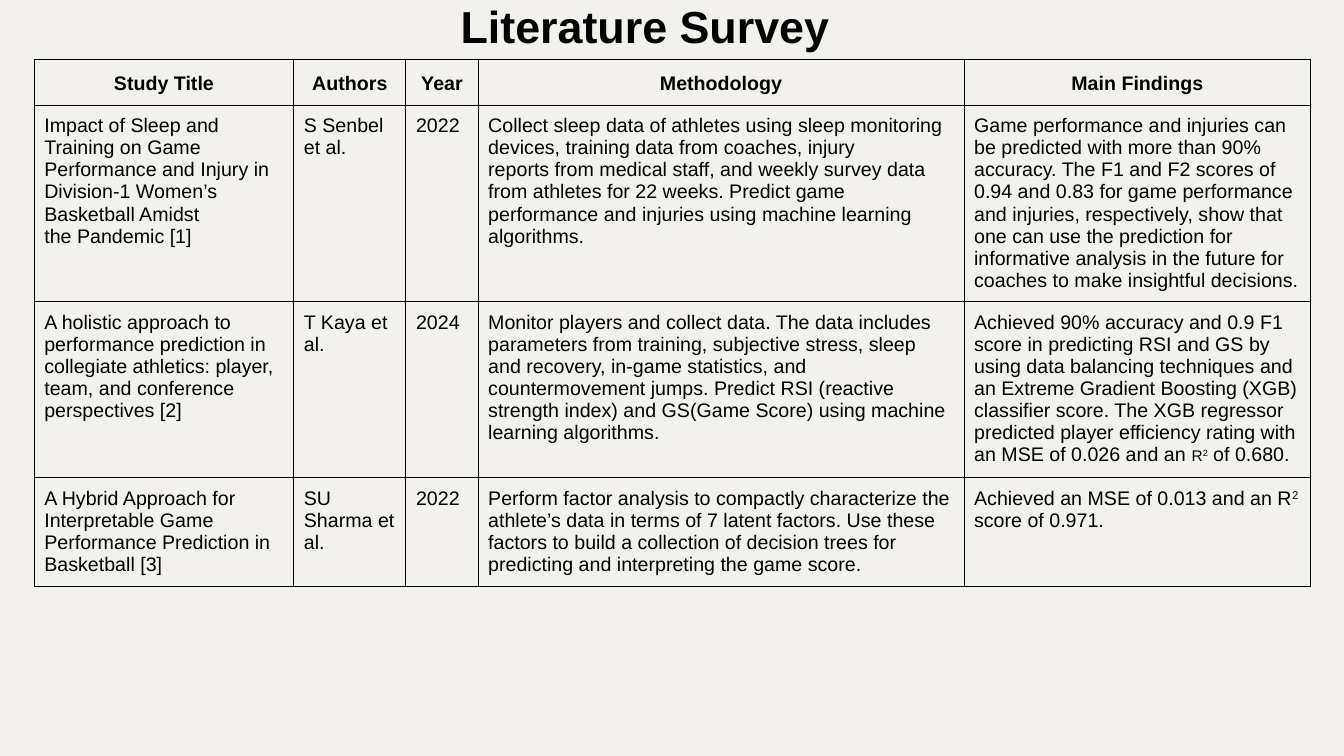
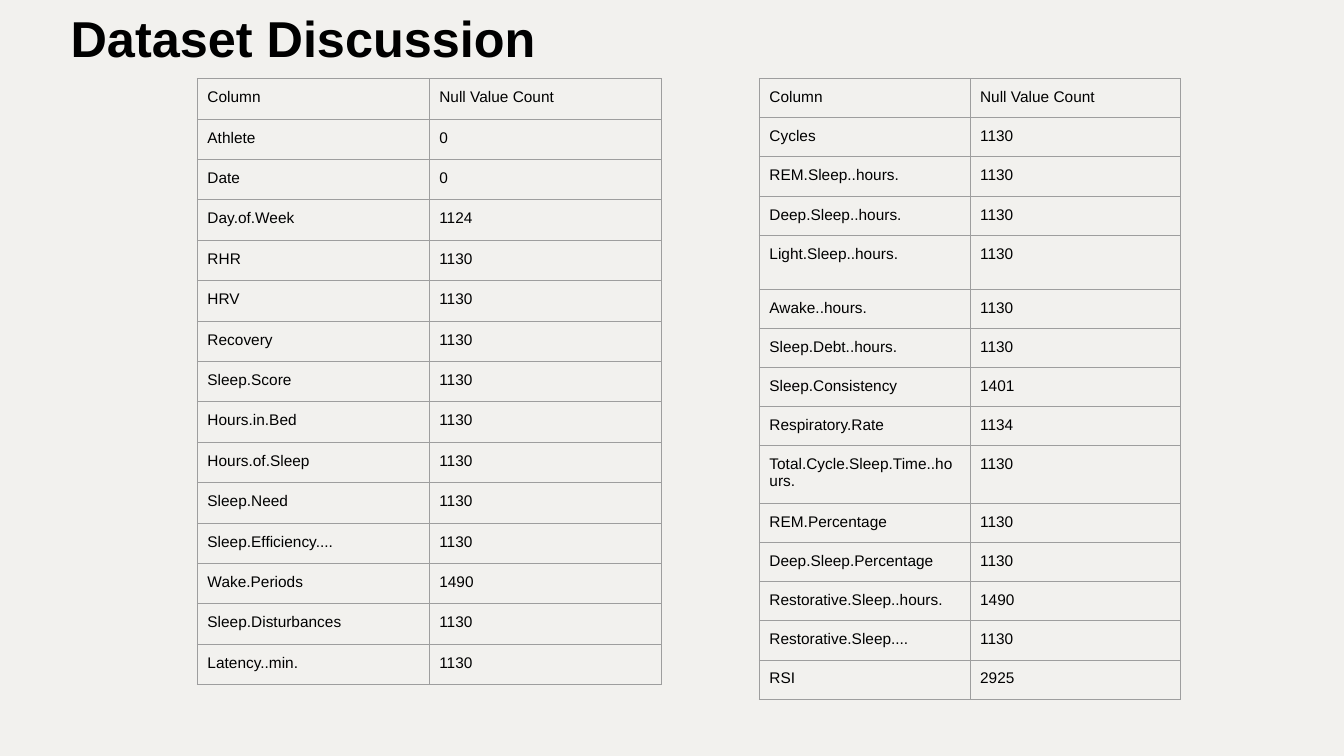
import dataclasses

import lxml.etree
import pptx
import pptx.dml.color
import pptx.enum.text
import pptx.oxml.ns
import pptx.util

COLORS = {"paper": "F2F1EE", "ink": "000000", "grey": "9E9E9E"}
FONT = "Arial"
GRID_COLUMNS, GRID_ROWS = 160, 90
ALIGN = pptx.enum.text.PP_ALIGN


@dataclasses.dataclass
class Run:
    text: str
    size: int = 0
    raised: bool = False


class Deck:
    def __init__(self):
        self.presentation = pptx.Presentation()
        self.presentation.slide_width = pptx.util.Inches(13.33)
        self.presentation.slide_height = pptx.util.Inches(7.5)
        self.slide = None
        background = self.presentation.slide_master.background.fill
        background.solid()
        background.fore_color.rgb = self.color("paper")

    def color(self, name):
        return pptx.dml.color.RGBColor.from_string(COLORS[name])

    def across(self, columns):
        return pptx.util.Emu(round(self.presentation.slide_width * columns / GRID_COLUMNS))

    def down(self, rows):
        return pptx.util.Emu(round(self.presentation.slide_height * rows / GRID_ROWS))

    def add_runs(self, paragraph, runs, size, bold=False):
        for part in runs:
            run = paragraph.add_run()
            run.text = part.text
            run.font.name = FONT
            run.font.size = pptx.util.Pt(part.size or size)
            run.font.bold = bold
            run.font.color.rgb = self.color("ink")
            if part.raised:
                run.font._element.set("baseline", "30000")

    def add_slide(self, title, top, height, size, alignment):
        layout = self.presentation.slide_layouts.get_by_name("Title Only")
        self.slide = self.presentation.slides.add_slide(layout)
        shape = self.slide.shapes.title
        shape.left, shape.top = self.across(7.8), self.down(top)
        shape.width, shape.height = self.across(138), self.down(height)
        frame = shape.text_frame
        frame.word_wrap = True
        frame.auto_size = pptx.enum.text.MSO_AUTO_SIZE.NONE
        frame.vertical_anchor = pptx.enum.text.MSO_ANCHOR.BOTTOM
        inset = pptx.util.Inches(0.05)
        frame.margin_left = frame.margin_right = inset
        frame.margin_top = frame.margin_bottom = inset
        paragraph = frame.paragraphs[0]
        paragraph.alignment = alignment
        paragraph.line_spacing = 0.9
        self.add_runs(paragraph, [Run(title)], size, bold=True)

    def add_borders(self, cell, color):
        properties = cell._tc.get_or_add_tcPr()
        qualified = pptx.oxml.ns.qn
        for position, side in enumerate(("a:lnL", "a:lnR", "a:lnT", "a:lnB")):
            line = lxml.etree.Element(qualified(side), w=str(pptx.util.Pt(0.75)))
            fill = lxml.etree.SubElement(line, qualified("a:solidFill"))
            lxml.etree.SubElement(fill, qualified("a:srgbClr"), val=COLORS[color])
            properties.insert(position, line)

    def fill_cell(self, cell, content, size, border, header):
        inset = pptx.util.Inches(0.1)
        cell.margin_left = cell.margin_right = inset
        cell.margin_top = cell.margin_bottom = inset
        cell.fill.background()
        self.add_borders(cell, border)
        if isinstance(content, str):
            lines = [[Run(line)] for line in content.split("\n")]
        else:
            lines = [content]
        for number, runs in enumerate(lines):
            frame = cell.text_frame
            paragraph = frame.add_paragraph() if number else frame.paragraphs[0]
            if header:
                paragraph.alignment = ALIGN.CENTER
                paragraph.line_spacing = 1.15
            self.add_runs(paragraph, runs, size, bold=header)

    def add_table(self, left, top, widths, heights, content, size, border, header=False):
        table = self.slide.shapes.add_table(
            len(heights), len(widths), self.across(left), self.down(top),
            self.across(sum(widths)), self.down(sum(heights))).table
        table.first_row = header
        table.horz_banding = False
        for column, width in zip(table.columns, widths):
            column.width = self.across(width)
        for index, (row, height, texts) in enumerate(zip(table.rows, heights, content)):
            row.height = self.down(height)
            for cell, text in zip(row.cells, texts):
                self.fill_cell(cell, text, size, border, header and index == 0)

    def add_null_counts(self, left, width, row_height, counts, taller_rows):
        content = [("Column", "Null Value Count")]
        content += [(name, str(count)) for name, count in counts.items()]
        heights = [taller_rows.get(name, row_height) for name, _ in content]
        self.add_table(left, 9.36, [width] * 2, heights, content, 11, "grey")


STUDIES = [
    ("Study Title", "Authors", "Year", "Methodology", "Main Findings"),
    (
        "Impact of Sleep and Training on Game Performance and Injury in "
        "Division-1 Women’s Basketball Amidst\nthe Pandemic [1]",
        "S Senbel et al.",
        "2022",
        "Collect sleep data of athletes using sleep monitoring devices, "
        "training data from coaches, injury\n"
        "reports from medical staff, and weekly survey data from athletes for "
        "22 weeks. Predict game performance and injuries using machine "
        "learning algorithms.",
        "Game performance and injuries can be predicted with more than 90% "
        "accuracy. The F1 and F2 scores of 0.94 and 0.83 for game performance "
        "and injuries, respectively, show that one can use the prediction for "
        "informative analysis in the future for coaches to make insightful "
        "decisions.",
    ),
    (
        "A holistic approach to performance prediction in collegiate "
        "athletics: player, team, and conference perspectives [2]",
        "T Kaya et al.",
        "2024",
        "Monitor players and collect data. The data includes parameters from "
        "training, subjective stress, sleep and recovery, in-game statistics, "
        "and countermovement jumps. Predict RSI (reactive strength index) and "
        "GS(Game Score) using machine learning algorithms.",
        [
            Run("Achieved 90% accuracy and 0.9 F1 score in predicting RSI and "
                "GS by using data balancing techniques and an Extreme Gradient "
                "Boosting (XGB) classifier score. The XGB regressor predicted "
                "player efficiency rating with an MSE of 0.026 and an "),
            Run("R", 11),
            Run("2", 11, raised=True),
            Run(" of 0.680."),
        ],
    ),
    (
        "A Hybrid Approach for Interpretable Game Performance Prediction in "
        "Basketball [3]",
        "SU Sharma et al.",
        "2022",
        "Perform factor analysis to compactly characterize the athlete’s data "
        "in terms of 7 latent factors. Use these factors to build a collection "
        "of decision trees for predicting and interpreting the game score.",
        [
            Run("Achieved an MSE of 0.013 and an R"),
            Run("2", raised=True),
            Run(" score of 0.971."),
        ],
    ),
]

DAILY_COUNTS = {
    "Athlete": 0,
    "Date": 0,
    "Day.of.Week": 1124,
    "RHR": 1130,
    "HRV": 1130,
    "Recovery": 1130,
    "Sleep.Score": 1130,
    "Hours.in.Bed": 1130,
    "Hours.of.Sleep": 1130,
    "Sleep.Need": 1130,
    "Sleep.Efficiency....": 1130,
    "Wake.Periods": 1490,
    "Sleep.Disturbances": 1130,
    "Latency..min.": 1130,
}

CYCLE_COUNTS = {
    "Cycles": 1130,
    "REM.Sleep..hours.": 1130,
    "Deep.Sleep..hours.": 1130,
    "Light.Sleep..hours.": 1130,
    "Awake..hours.": 1130,
    "Sleep.Debt..hours.": 1130,
    "Sleep.Consistency": 1401,
    "Respiratory.Rate": 1134,
    "Total.Cycle.Sleep.Time..hours.": 1130,
    "REM.Percentage": 1130,
    "Deep.Sleep.Percentage": 1130,
    "Restorative.Sleep..hours.": 1490,
    "Restorative.Sleep....": 1130,
    "RSI": 2925,
}


def main():
    deck = Deck()

    deck.add_slide("Literature Survey", 3.48, 3.48, 32, ALIGN.CENTER)
    deck.add_table(4.08, 7.08, [30.9, 13.35, 8.6, 57.85, 41.3],
                   [5.35, 23.3, 21, 12.95], STUDIES, 14, "ink", header=True)

    deck.add_slide("Dataset Discussion", 0.96, 7.8, 36, ALIGN.LEFT)
    deck.add_null_counts(23.5, 27.6, 4.81, DAILY_COUNTS, {})
    deck.add_null_counts(90.4, 25.08, 4.66, CYCLE_COUNTS, {
        "Light.Sleep..hours.": 6.43,
        "Total.Cycle.Sleep.Time..hours.": 6.88,
    })

    deck.presentation.save("out.pptx")


if __name__ == "__main__":
    main()
